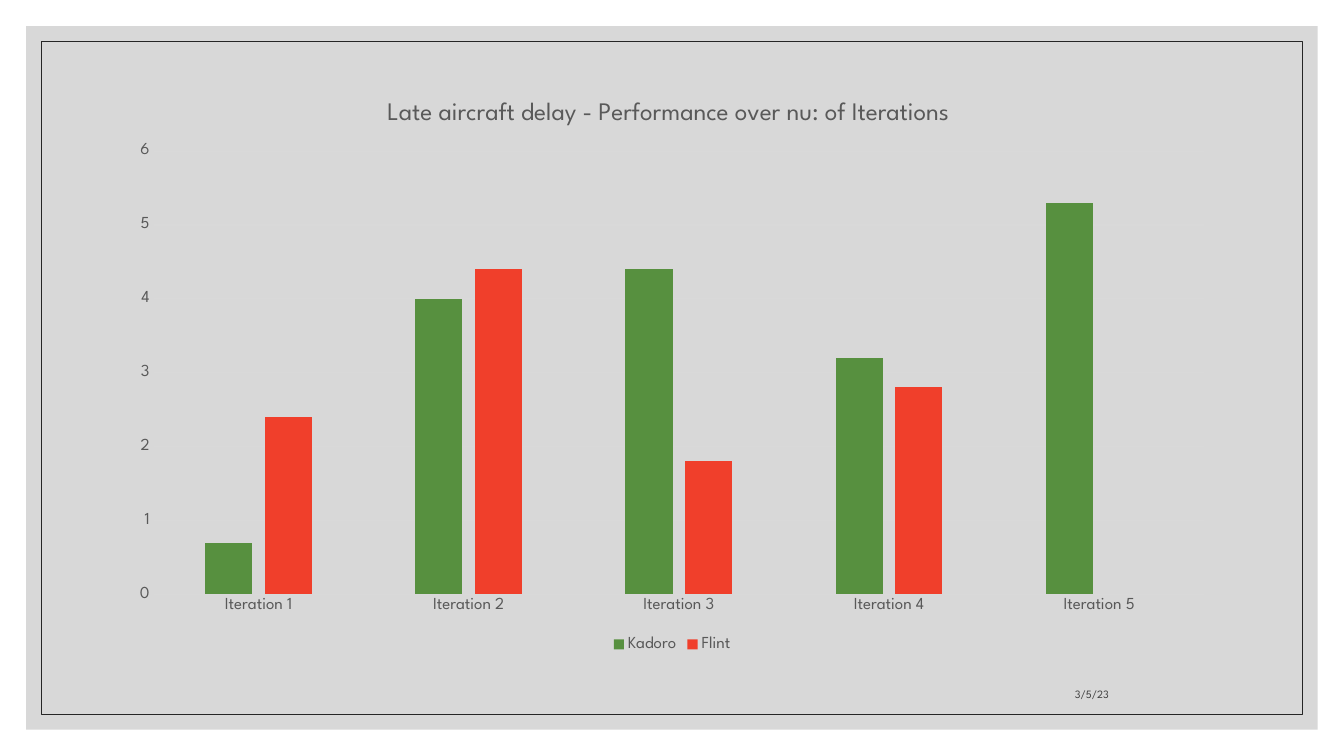
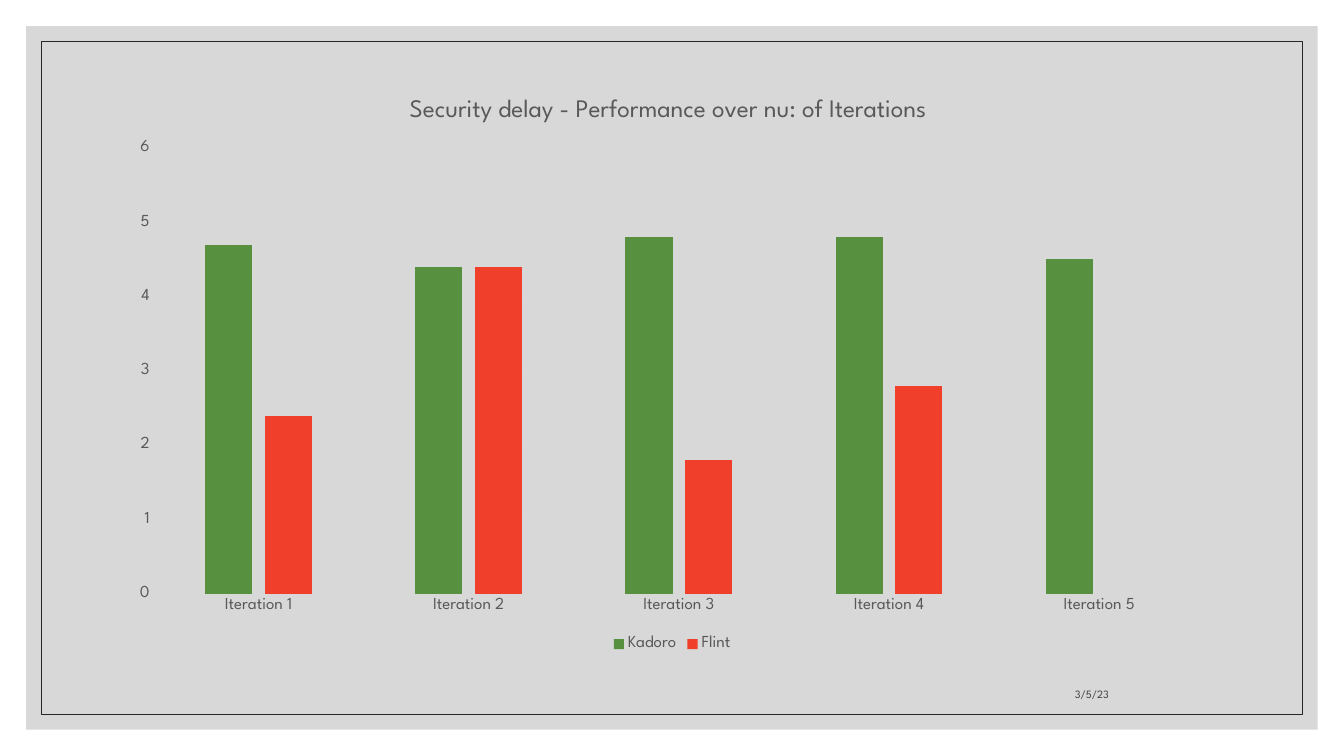
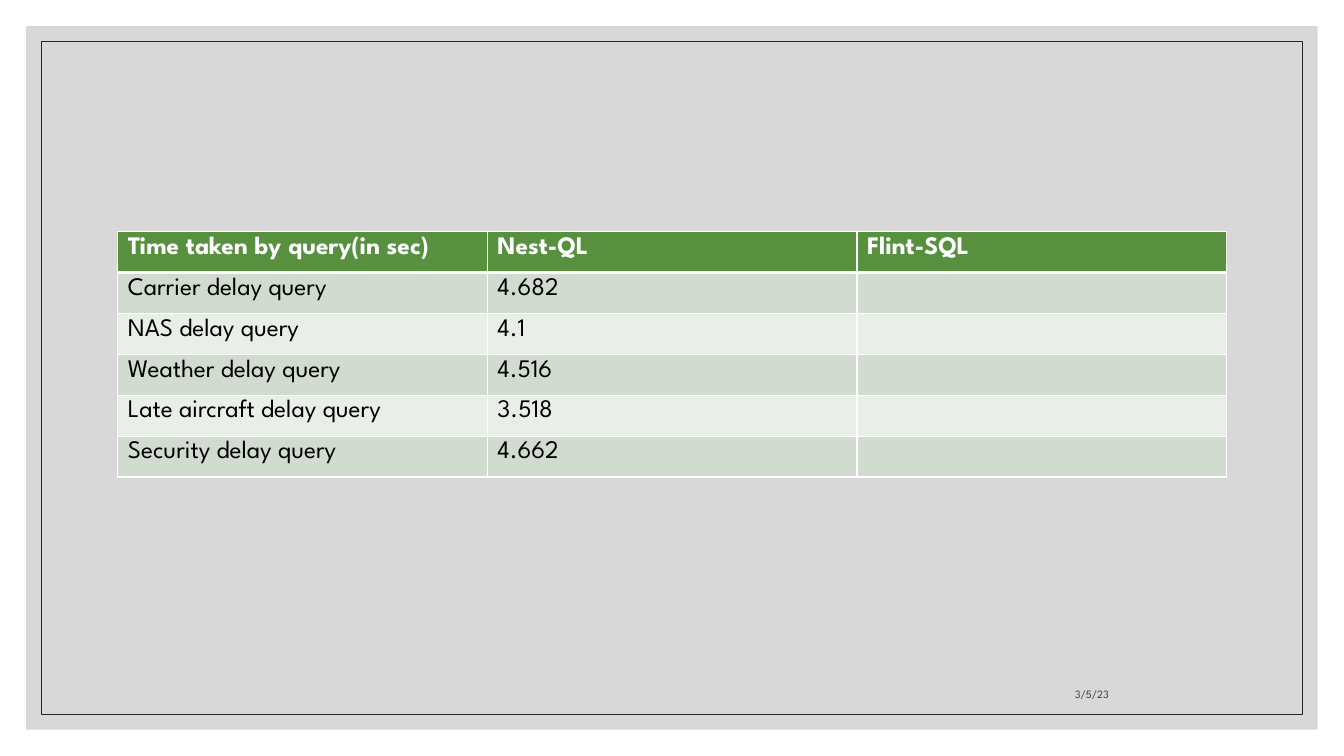
import lxml.etree
import pptx
import pptx.chart.data
import pptx.dml.color
import pptx.enum.chart
import pptx.enum.shapes
import pptx.enum.text
import pptx.oxml.ns
import pptx.util

Cm, Pt, qn = pptx.util.Cm, pptx.util.Pt, pptx.oxml.ns.qn
FONT = "League Spartan"
WIDTH, HEIGHT = 33.87, 19.05
GREEN, RED, WHITE, BLACK = "57903F", "F03F2B", "FFFFFF", "000000"
GREY, RULE, INK, DATE_INK = "595959", "D9D9D9", "262626", "404040"
BANDS = ["EAEEE8", "D1DBCF"]
LEFT, CONTENT_WIDTH = 2.97, 27.94

ITERATIONS = [f"Iteration {n}" for n in range(1, 6)]
FLINT = [2.4, 4.4, 1.8, 2.8, None]
CHARTS = [
    ("Late aircraft delay - Performance over nu: of Iterations",
     6.68, (LEFT, 2.01, CONTENT_WIDTH, 14.53), [0.7, 4, 4.4, 3.2, 5.3]),
    ("Security delay - Performance over nu: of Iterations",
     7.24, (LEFT, 1.93, CONTENT_WIDTH, 14.6), [4.7, 4.4, 4.8, 4.8, 4.5]),
]
QUERY_TIMES = [
    ("Time taken by query(in sec)", "Nest-QL", "Flint-SQL"),
    ("Carrier delay query", "4.682", ""),
    ("NAS delay query", "4.1", ""),
    ("Weather delay query", "4.516", ""),
    ("Late aircraft delay query", "3.518", ""),
    ("Security delay query", "4.662", ""),
]


def rgb(color):
    """Turn a hex string into a colour."""
    return pptx.dml.color.RGBColor.from_string(color)


def style(font, size, color, bold=False):
    """Set the shared typeface with a size, colour and weight."""
    font.name, font.size, font.bold = FONT, Pt(size), bold
    font.color.rgb = rgb(color)


def add_run(p, text, size, color, bold=False):
    """Add one formatted run to a paragraph."""
    r = p.add_run()
    r.text = text
    style(r.font, size, color, bold)


def add_frame(s, layout):
    """Draw the panel and its outline and hand them to the layout."""
    for inset in (0.66, 1.04):
        sp = s.shapes.add_shape(
            pptx.enum.shapes.MSO_SHAPE.RECTANGLE, Cm(inset), Cm(inset),
            Cm(WIDTH - 2 * inset), Cm(HEIGHT - 2 * inset))
        sp.shadow.inherit = False
        if inset == 0.66:
            sp.fill.solid()
            sp.fill.fore_color.rgb = rgb("BFBFBF")
            color = sp.element.spPr.find(".//" + qn("a:srgbClr"))
            lxml.etree.SubElement(color, qn("a:alpha"), val="60000")
            sp.line.fill.background()
        else:
            sp.fill.background()
            sp.line.color.rgb = rgb(INK)
            sp.line.width = Pt(0.5)
        layout.shapes.element.append(sp.element)


def add_date(s, box):
    """Write the date at the bottom right of its box."""
    tf = s.shapes.add_textbox(*map(Cm, box)).text_frame
    tf.word_wrap = True
    tf.vertical_anchor = pptx.enum.text.MSO_ANCHOR.BOTTOM
    p = tf.paragraphs[0]
    p.alignment = pptx.enum.text.PP_ALIGN.RIGHT
    add_run(p, "3/5/23", 8, DATE_INK)


def place(part, index, box, **lengths):
    """Lay out a chart part by lengths within the box of its chart."""
    old = part.find(qn("c:layout"))
    if old is not None:
        part.remove(old)
    layout = lxml.etree.Element(qn("c:layout"))
    manual = lxml.etree.SubElement(layout, qn("c:manualLayout"))
    if "w" in lengths:
        lxml.etree.SubElement(manual, qn("c:layoutTarget"), val="inner")
    for axis in "xy":
        lxml.etree.SubElement(manual, qn(f"c:{axis}Mode"), val="edge")
    for key, length in lengths.items():
        whole = box[2] if key in "xw" else box[3]
        lxml.etree.SubElement(manual, qn(f"c:{key}"), val=str(length / whole))
    part.insert(index, layout)


def add_column_chart(s, box, title, title_x, kadoro):
    """Place a clustered column chart of both engines in its box."""
    data = pptx.chart.data.CategoryChartData()
    data.categories = ITERATIONS
    data.add_series("Kadoro", kadoro)
    data.add_series("Flint", FLINT)
    chart = s.shapes.add_chart(
        pptx.enum.chart.XL_CHART_TYPE.COLUMN_CLUSTERED,
        *map(Cm, box), data).chart
    style(chart.font, 10, BLACK)

    add_run(chart.chart_title.text_frame.paragraphs[0], title, 18, GREY)
    chart.chart_title.include_in_layout = False
    place(chart.element.find(".//" + qn("c:title")), 1, box,
          x=title_x, y=0.38)
    place(chart.element.find(".//" + qn("c:plotArea")), 0, box,
          x=0.9, y=1.8, w=26.48, h=box[3] - 3.36)

    plot = chart.plots[0]
    plot.gap_width, plot.overlap, plot.vary_by_categories = 219, -27, False
    for series, color in zip(plot.series, (GREEN, RED)):
        series.format.fill.solid()
        series.format.fill.fore_color.rgb = rgb(color)

    for axis in (chart.category_axis, chart.value_axis):
        style(axis.tick_labels.font, 12, GREY)
        axis.major_tick_mark = pptx.enum.chart.XL_TICK_MARK.NONE
        axis.minor_tick_mark = pptx.enum.chart.XL_TICK_MARK.NONE
    values = chart.value_axis
    values.minimum_scale, values.maximum_scale, values.major_unit = 0, 6, 1
    values.format.line.fill.background()
    values.has_major_gridlines = True
    for rule in (chart.category_axis, values.major_gridlines):
        rule.format.line.color.rgb = rgb(RULE)
        rule.format.line.width = Pt(0.75)

    chart.has_legend = True
    chart.legend.position = pptx.enum.chart.XL_LEGEND_POSITION.BOTTOM
    chart.legend.include_in_layout = False
    style(chart.legend.font, 12, GREY)


def set_borders(cell, **widths):
    """Draw white cell borders with a width in points for each side."""
    tc_pr = cell._tc.get_or_add_tcPr()
    for index, (side, width) in enumerate(widths.items()):
        line = lxml.etree.Element(qn(f"a:ln{side}"), w=str(Pt(width)))
        fill = lxml.etree.SubElement(line, qn("a:solidFill"))
        lxml.etree.SubElement(fill, qn("a:srgbClr"), val=WHITE)
        tc_pr.insert(index, line)


def add_query_table(s, box, rows):
    """Fill a banded table with one header row in its box."""
    table = s.shapes.add_table(len(rows), len(rows[0]), *map(Cm, box)).table
    for i, row in enumerate(rows):
        header = i == 0
        for j, text in enumerate(row):
            cell = table.cell(i, j)
            cell.fill.solid()
            cell.fill.fore_color.rgb = rgb(GREEN if header else BANDS[i % 2])
            set_borders(cell, L=1, R=1, T=3 if i == 1 else 1,
                        B=3 if header else 1)
            if text:
                add_run(cell.text_frame.paragraphs[0], text, 18,
                        WHITE if header else BLACK, header)


def main():
    """Build the two chart slides and the table slide."""
    prs = pptx.Presentation()
    prs.slide_width, prs.slide_height = Cm(WIDTH), Cm(HEIGHT)
    layout = prs.slide_layouts[6]
    slides = [prs.slides.add_slide(layout) for _ in range(3)]
    add_frame(slides[0], layout)
    for s, (title, title_x, box, kadoro) in zip(slides, CHARTS):
        add_column_chart(s, box, title, title_x, kadoro)
    add_query_table(slides[2], (LEFT, 5.84, CONTENT_WIDTH, 6.18), QUERY_TIMES)
    for s in slides:
        add_date(s, (20.17, 16.76, 8.03, 1.02))
    prs.save("out.pptx")


if __name__ == "__main__":
    main()
